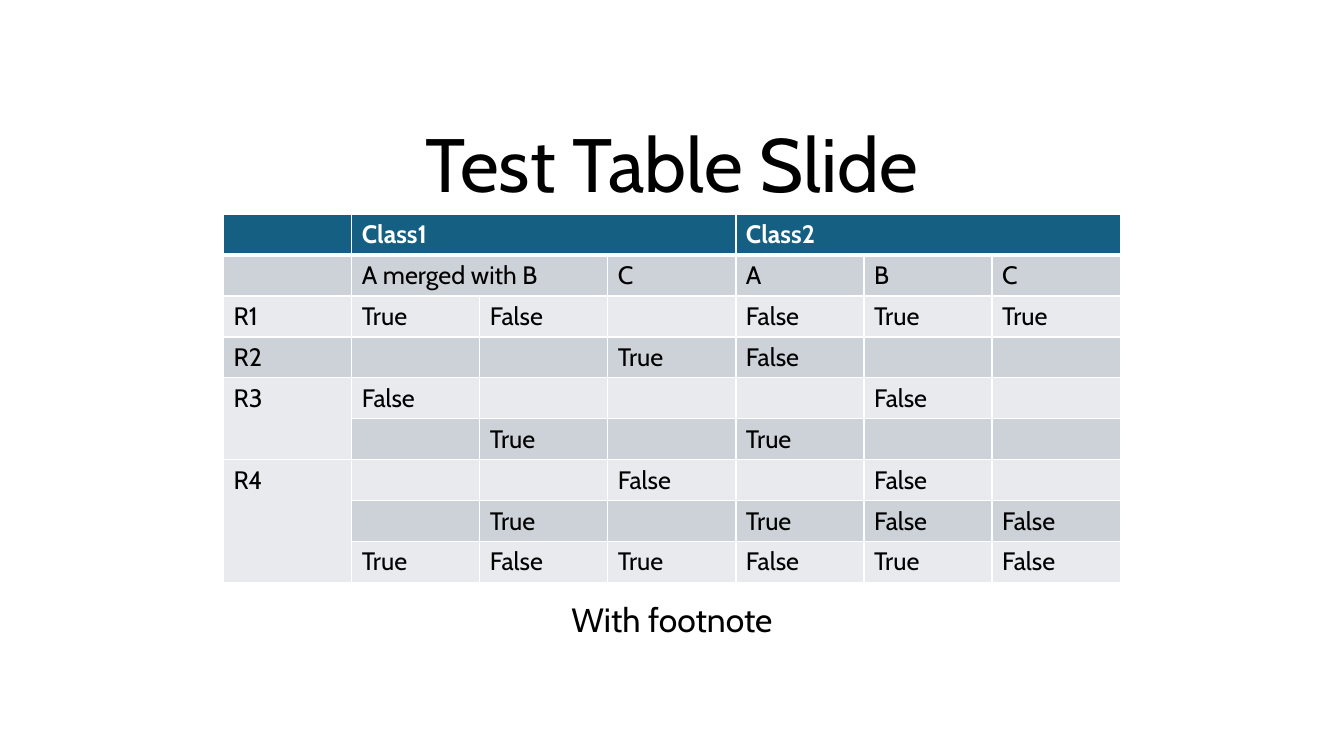
from dataclasses import dataclass

from lxml import etree
from pptx import Presentation
from pptx import util as u
from pptx.dml import color
from pptx.enum import text
from pptx.oxml import ns


@dataclass(frozen=True)
class Theme:
    font: str = "Cabin"
    ink: str = "000000"
    paper: str = "FFFFFF"
    header: str = "156082"
    dark_band: str = "CCD2D8"
    light_band: str = "E8EAED"
    title_size: int = 54
    footnote_size: int = 24
    cell_size: int = 18
    rule: int = 1
    header_rule: int = 3


THEME = Theme()
EMU_PER_PX = 9525
COLUMN_WIDTH, ROW_HEIGHT = 122, 39
ROWS = [
    ["", "Class1", "", "", "Class2", "", ""],
    ["", "A merged with B", "", "C", "A", "B", "C"],
    ["R1", "True", "False", "", "False", "True", "True"],
    ["R2", "", "", "True", "False", "", ""],
    ["R3", "False", "", "", "", "False", ""],
    ["", "", "True", "", "True", "", ""],
    ["R4", "", "", "False", "", "False", ""],
    ["", "", "True", "", "True", "False", "False"],
    ["", "True", "False", "True", "False", "True", "False"],
]
MERGES = [
    ((0, 1), (0, 3)),
    ((0, 4), (0, 6)),
    ((1, 1), (1, 2)),
    ((4, 0), (5, 0)),
    ((6, 0), (8, 0)),
]


def px(length):
    return u.Emu(length * EMU_PER_PX)


def rgb(value):
    return color.RGBColor.from_string(value)


def write(frame, words, size, ink=THEME.ink, bold=False):
    frame.text = words
    for run in frame.paragraphs[0].runs:
        run.font.name = THEME.font
        run.font.size = u.Pt(size)
        run.font.bold = bold
        run.font.color.rgb = rgb(ink)


def center(frame, anchor):
    frame.word_wrap = True
    frame.auto_size = text.MSO_AUTO_SIZE.NONE
    frame.vertical_anchor = anchor
    line = frame.paragraphs[0]
    line.alignment = text.PP_ALIGN.CENTER
    line.line_spacing = 0.9
    return line


def add_title(slide, words, left, top, width, height):
    title = slide.shapes.title
    title.left, title.top = px(left), px(top)
    title.width, title.height = px(width), px(height)
    write(title.text_frame, words, THEME.title_size)
    center(title.text_frame, text.MSO_ANCHOR.BOTTOM)


def add_footnote(slide, words, left, top, width, height):
    footnote = slide.shapes.add_textbox(px(left), px(top), px(width), px(height))
    write(footnote.text_frame, words, THEME.footnote_size)
    line = center(footnote.text_frame, text.MSO_ANCHOR.TOP)
    line.space_before = u.Pt(10)


def add_borders(cell, row):
    widths = {
        "L": THEME.rule,
        "R": THEME.rule,
        "T": THEME.header_rule if row == 1 else THEME.rule,
        "B": THEME.header_rule if row == 0 else THEME.rule,
    }
    properties = cell._tc.get_or_add_tcPr()
    for side, width in widths.items():
        border = etree.SubElement(properties, ns.qn(f"a:ln{side}"), w=str(u.Pt(width)))
        fill = etree.SubElement(border, ns.qn("a:solidFill"))
        etree.SubElement(fill, ns.qn("a:srgbClr"), val=THEME.paper)


def style_cell(cell, words, row):
    is_header = row == 0
    band = THEME.dark_band if row % 2 else THEME.light_band
    add_borders(cell, row)
    cell.fill.solid()
    cell.fill.fore_color.rgb = rgb(THEME.header if is_header else band)
    ink = THEME.paper if is_header else THEME.ink
    write(cell.text_frame, words, THEME.cell_size, ink, is_header)


def add_class_table(slide, left, top):
    row_count, column_count = len(ROWS), len(ROWS[0])
    table = slide.shapes.add_table(
        row_count, column_count, px(left), px(top),
        px(COLUMN_WIDTH * column_count), px(ROW_HEIGHT * row_count),
    ).table
    for column in table.columns:
        column.width = px(COLUMN_WIDTH)
    for row, values in enumerate(ROWS):
        table.rows[row].height = px(ROW_HEIGHT)
        for column, words in enumerate(values):
            style_cell(table.cell(row, column), words, row)
    for first, last in MERGES:
        table.cell(*first).merge(table.cell(*last))


def main():
    deck = Presentation()
    deck.slide_width, deck.slide_height = px(1280), px(720)
    slide = deck.slides.add_slide(deck.slide_layouts[5])
    slide.background.fill.solid()
    slide.background.fill.fore_color.rgb = rgb(THEME.paper)
    add_footnote(slide, "With footnote", 160, 570, 960, 48)
    add_class_table(slide, 213, 204)
    add_title(slide, "Test Table Slide", 160, 118, 960, 86)
    deck.save("out.pptx")


if __name__ == "__main__":
    main()
